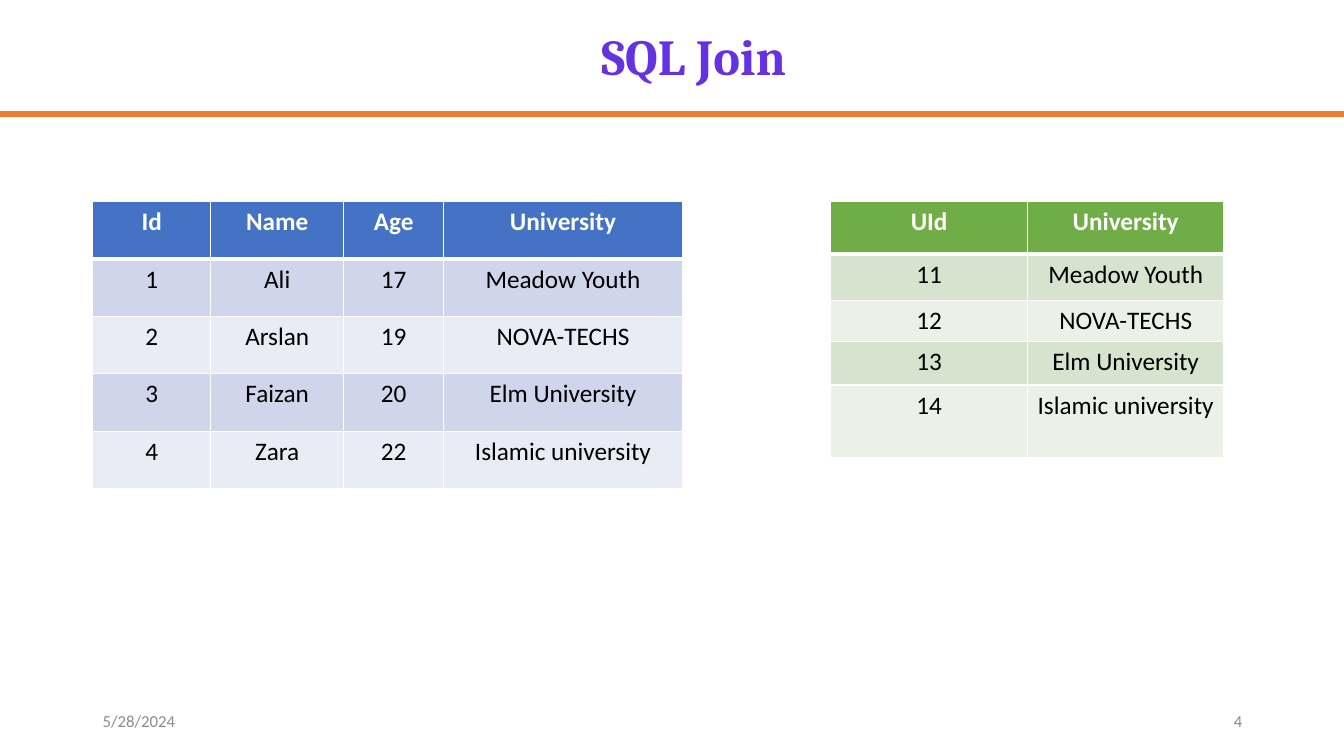
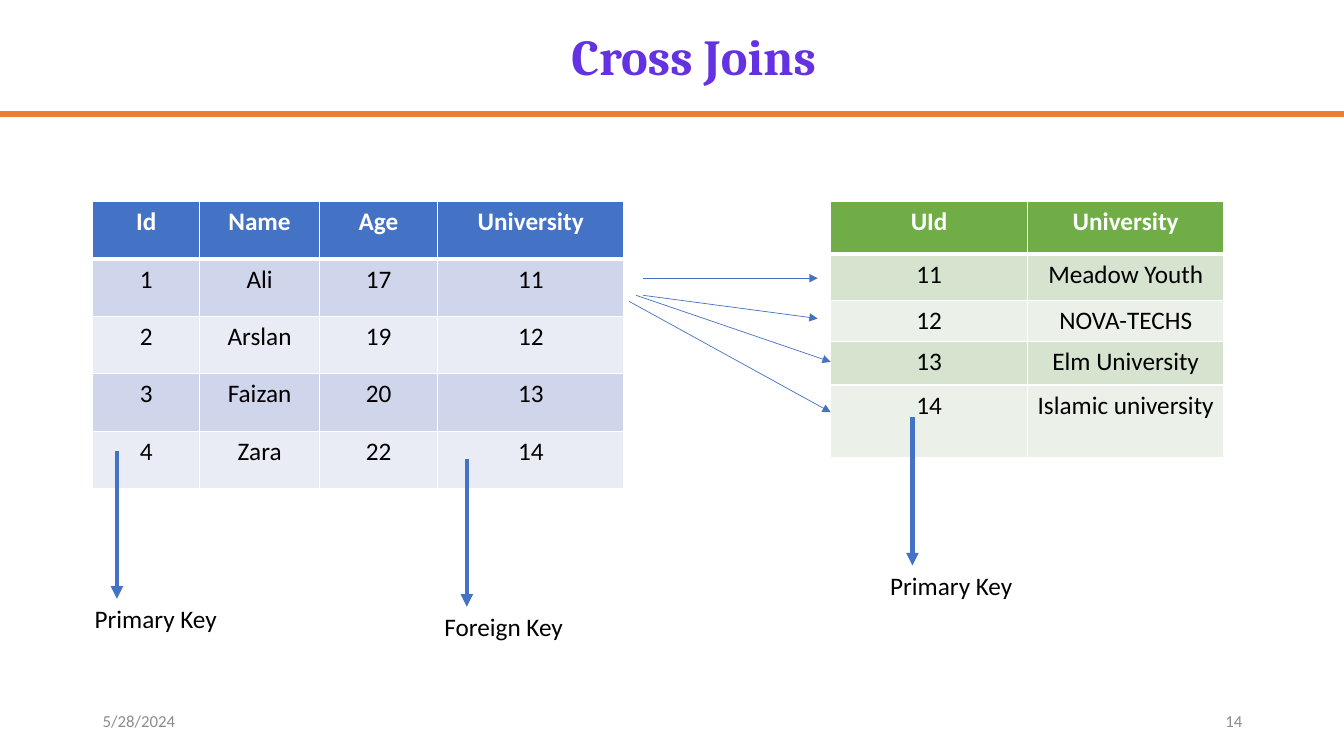
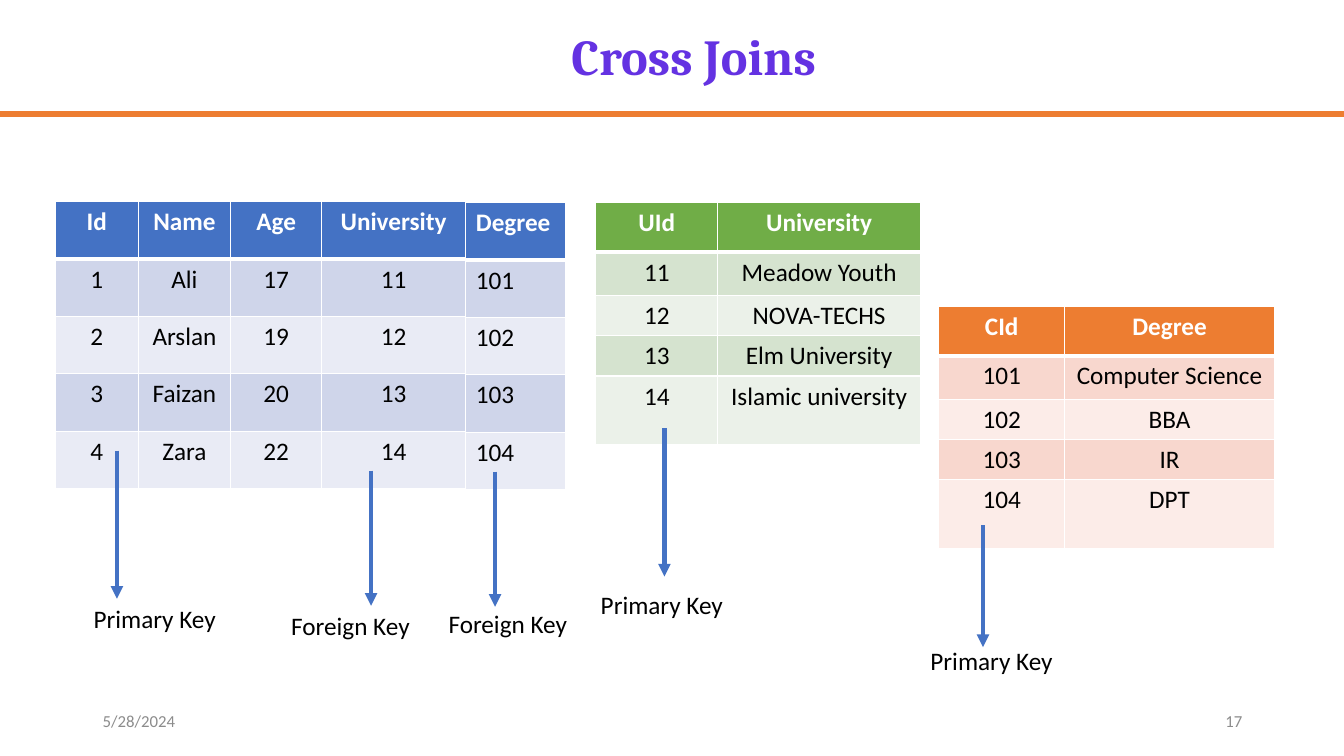
from lxml import etree
from pptx import Presentation
from pptx import util as u
from pptx.dml.color import RGBColor
from pptx.enum import shapes, text
from pptx.oxml.ns import qn

# Colours
WHITE = RGBColor(0xFF, 0xFF, 0xFF)
BLACK = RGBColor(0x00, 0x00, 0x00)
GREY = RGBColor(0x8C, 0x8C, 0x8C)
PURPLE = RGBColor(0x64, 0x32, 0xE2)
BLUE = RGBColor(0x44, 0x72, 0xC4)
ORANGE = RGBColor(0xED, 0x7D, 0x31)

# Table palettes: header, odd rows, even rows
BLUE_BANDS = (BLUE, RGBColor(0xCF, 0xD5, 0xEA), RGBColor(0xE9, 0xEB, 0xF5))
GREEN_BANDS = (RGBColor(0x70, 0xAD, 0x47), RGBColor(0xD5, 0xE3, 0xCF), RGBColor(0xEB, 0xF1, 0xE9))
ORANGE_BANDS = (ORANGE, RGBColor(0xF8, 0xD7, 0xCE), RGBColor(0xFC, 0xEC, 0xE8))

# Table contents
PEOPLE = [("1", "Ali", "17"), ("2", "Arslan", "19"), ("3", "Faizan", "20"), ("4", "Zara", "22")]
UNIVERSITY_IDS = ["11", "12", "13", "14"]
UNIVERSITY_NAMES = ["Meadow Youth", "NOVA-TECHS", "Elm University", "Islamic university"]
DEGREE_IDS = ["101", "102", "103", "104"]
DEGREE_NAMES = ["Computer Science", "BBA", "IR", "DPT"]

UNIVERSITIES = [("UId", "University"), *zip(UNIVERSITY_IDS, UNIVERSITY_NAMES)]
DEGREES = [("CId", "Degree"), *zip(DEGREE_IDS, DEGREE_NAMES)]
DEGREE_COLUMN = [("Degree",), *((degree_id,) for degree_id in DEGREE_IDS)]

# Row heights
STUDENT_HEIGHTS = [0.57] * 5
WIDE_HEIGHTS = [0.52, 0.46, 0.41, 0.43, 0.72]
COMPACT_HEIGHTS = [0.49, 0.43, 0.39, 0.4, 0.68]


def student_rows(universities):
    """Student table whose last column holds the given university values."""
    people = [(*person, university) for person, university in zip(PEOPLE, universities)]
    return [("Id", "Name", "Age", "University"), *people]


class Deck:
    BODY_FONT = "Calibri"
    TITLE_FONT = "Cambria"
    WIDTH = 13.33

    def __init__(self):
        self.presentation = Presentation()
        self.presentation.slide_width = u.Inches(self.WIDTH)
        self.presentation.slide_height = u.Inches(7.5)
        self.slide = None

    def style(self, paragraph, size, color, font=BODY_FONT, bold=False, align=text.PP_ALIGN.LEFT):
        paragraph.alignment = align
        paragraph.font.name = font
        paragraph.font.size = u.Pt(size)
        paragraph.font.bold = bold
        paragraph.font.color.rgb = color

    def new_slide(self, title, number):
        """Start a slide with its title, rule, date and number."""
        self.slide = self.presentation.slides.add_slide(self.presentation.slide_layouts[5])
        shape = self.slide.shapes.title
        shape.left, shape.top = u.Inches(1.13), u.Inches(0.15)
        shape.width, shape.height = u.Inches(11.5), u.Inches(0.88)
        frame = shape.text_frame
        frame.text = title
        frame.auto_size = text.MSO_AUTO_SIZE.NONE
        frame.vertical_anchor = text.MSO_ANCHOR.MIDDLE
        paragraph = frame.paragraphs[0]
        paragraph.line_spacing = 0.9
        self.style(paragraph, 36, PURPLE, self.TITLE_FONT, True, text.PP_ALIGN.CENTER)

        self.line((0, 1.13), (self.WIDTH, 1.13), 4.5, ORANGE)
        self.footer("5/28/2024", 0.92, text.PP_ALIGN.LEFT)
        self.footer(str(number), 9.42, text.PP_ALIGN.RIGHT)

    def footer(self, words, left, align):
        frame = self.text_box(words, left, 6.95, 3, 12, GREY, align)
        frame.vertical_anchor = text.MSO_ANCHOR.MIDDLE

    def text_box(self, words, left, top, width, size=18, color=BLACK, align=text.PP_ALIGN.LEFT):
        shape = self.slide.shapes.add_textbox(
            u.Inches(left), u.Inches(top), u.Inches(width), u.Inches(0.4))
        frame = shape.text_frame
        frame.word_wrap = True
        frame.text = words
        self.style(frame.paragraphs[0], size, color, align=align)
        return frame

    def line(self, start, end, weight, color=BLUE):
        connector = self.slide.shapes.add_connector(
            shapes.MSO_CONNECTOR.STRAIGHT, *map(u.Inches, (*start, *end)))
        connector.line.color.rgb = color
        connector.line.width = u.Pt(weight)
        etree.SubElement(connector._element.spPr, qn("a:effectLst"))
        return connector

    def arrow(self, start, end, weight):
        outline = self.line(start, end, weight).line._get_or_add_ln()
        etree.SubElement(outline, qn("a:tailEnd"), type="triangle")

    def key(self, words, start, length, label_at):
        """A downward arrow from a key column to its label."""
        x, y = start
        self.arrow(start, (x, y + length), 3)
        self.text_box(words, *label_at, 1.52)

    def table(self, rows, left, top, widths, heights, bands, align=text.PP_ALIGN.CENTER):
        table = self.slide.shapes.add_table(
            len(rows), len(widths), u.Inches(left), u.Inches(top),
            u.Inches(sum(widths)), u.Inches(sum(heights))).table
        table.horz_banding = False
        for column, width in zip(table.columns, widths):
            column.width = u.Inches(width)
        for row, height in zip(table.rows, heights):
            row.height = u.Inches(height)
        header, odd, even = bands
        for i, values in enumerate(rows):
            fill = header if i == 0 else odd if i % 2 else even
            for j, value in enumerate(values):
                cell = table.cell(i, j)
                cell.text = value
                cell.fill.solid()
                cell.fill.fore_color.rgb = fill
                self.style(cell.text_frame.paragraphs[0], 18, BLACK if i else WHITE,
                           bold=i == 0, align=align)
                self.borders(cell, top=3 if i == 1 else 1, bottom=1 if i else 3)

    def borders(self, cell, top, bottom):
        properties = cell._tc.get_or_add_tcPr()
        for index, (side, weight) in enumerate(zip("LRTB", (1, 1, top, bottom))):
            border = etree.Element(qn(f"a:ln{side}"), w=str(u.Pt(weight)))
            fill = etree.SubElement(border, qn("a:solidFill"))
            etree.SubElement(fill, qn("a:srgbClr"), val=str(WHITE))
            properties.insert(index, border)


def main():
    deck = Deck()

    # Two tables before joining
    deck.new_slide("SQL Join", 4)
    deck.table(student_rows(UNIVERSITY_NAMES), 0.92, 2, [1.17, 1.32, 0.99, 2.37],
               STUDENT_HEIGHTS, BLUE_BANDS)
    deck.table(UNIVERSITIES, 8.24, 2, [1.95, 1.95], WIDE_HEIGHTS, GREEN_BANDS)

    # Cross join of two tables
    deck.new_slide("Cross Joins", 14)
    deck.table(student_rows(UNIVERSITY_IDS), 0.92, 2, [1.06, 1.19, 1.17, 1.85],
               STUDENT_HEIGHTS, BLUE_BANDS)
    deck.table(UNIVERSITIES, 8.24, 2, [1.95, 1.95], WIDE_HEIGHTS, GREEN_BANDS)
    for words, x, y in [("Primary Key", 9.05, 4.14), ("Foreign Key", 4.63, 4.55),
                        ("Primary Key", 1.16, 4.47)]:
        deck.key(words, (x, y), 1.47, (x - 0.32, y + 1.47))
    for start, end in [((6.38, 2.76), (8.11, 2.76)), ((6.38, 2.93), (8.11, 3.16)),
                       ((6.31, 2.93), (8.24, 3.59)), ((6.24, 2.99), (8.24, 4.09))]:
        deck.arrow(start, end, 0.5)

    # Cross join of three tables
    deck.new_slide("Cross Joins", 17)
    deck.table(student_rows(UNIVERSITY_IDS), 0.55, 2, [0.82, 0.92, 0.9, 1.43],
               STUDENT_HEIGHTS, BLUE_BANDS)
    deck.table(UNIVERSITIES, 5.91, 2.01, [1.21, 2.01], COMPACT_HEIGHTS, GREEN_BANDS)
    deck.table(DEGREES, 9.31, 3.04, [1.25, 2.08], COMPACT_HEIGHTS, ORANGE_BANDS)
    deck.table(DEGREE_COLUMN, 4.62, 2.01, [0.99], STUDENT_HEIGHTS, BLUE_BANDS,
               text.PP_ALIGN.LEFT)
    for words, start, length, label_at in [
            ("Primary Key", (1.16, 4.47), 1.47, (0.83, 5.94)),
            ("Foreign Key", (3.68, 4.67), 1.34, (2.79, 6.01)),
            ("Foreign Key", (4.91, 4.68), 1.34, (4.35, 5.99)),
            ("Primary Key", (6.59, 4.25), 1.47, (5.86, 5.8)),
            ("Primary Key", (9.75, 5.21), 1.21, (9.13, 6.35))]:
        deck.key(words, start, length, label_at)

    deck.presentation.save("out.pptx")


if __name__ == "__main__":
    main()
